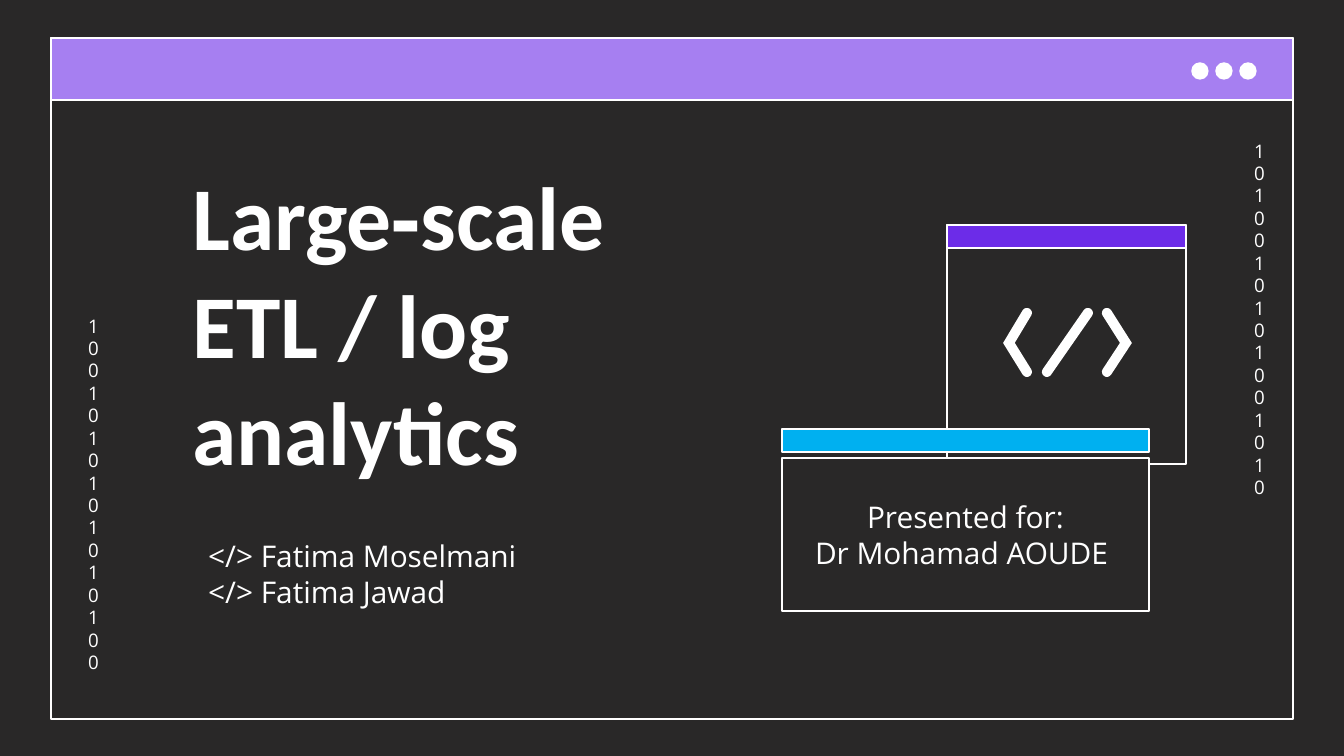
from dataclasses import dataclass
from math import atan2, cos, pi, sin

from pptx import Presentation
from pptx.dml.color import RGBColor
from pptx.enum.shapes import MSO_SHAPE as Shape
from pptx.enum.text import MSO_ANCHOR as Anchor, MSO_AUTO_SIZE as AutoSize, PP_ALIGN as Align
from pptx.util import Emu, Pt

SLIDE_W, SLIDE_H = 1344, 756
EMU_PER_PX = 9144000 / SLIDE_W


@dataclass(frozen=True)
class Theme:
    dark: str = "292828"
    white: str = "FFFFFF"
    lilac: str = "A67FF1"
    violet: str = "6C2CE8"
    sky: str = "00B0F0"
    heading_font: str = "Calibri"
    body_font: str = "Open Sans"
    title_pt: int = 48
    body_pt: int = 16
    binary_pt: int = 10
    line_pt: float = 0.75


THEME = Theme()


def px(value):
    return Emu(round(value * EMU_PER_PX))


def color(hex_code):
    return RGBColor.from_string(hex_code)


def set_all(target, values):
    for name, value in values.items():
        setattr(target, name, value)


def place(shape, box):
    set_all(shape, dict(zip(("left", "top", "width", "height"), map(px, box))))


def paint(shape, fill=None, line=None):
    if fill:
        shape.fill.solid()
        shape.fill.fore_color.rgb = color(fill)
    else:
        shape.fill.background()
    if line:
        shape.line.color.rgb = color(line)
        shape.line.width = Pt(THEME.line_pt)
    else:
        shape.line.fill.background()


def write(shape, lines, size, font=THEME.body_font, bold=False,
          align=Align.LEFT, anchor=Anchor.MIDDLE):
    frame = shape.text_frame
    inset = Emu(91440)
    set_all(frame, {
        "text": "\n".join(lines), "word_wrap": True, "auto_size": AutoSize.NONE,
        "vertical_anchor": anchor, "margin_left": inset, "margin_right": inset,
        "margin_top": inset, "margin_bottom": inset,
    })
    for paragraph in frame.paragraphs:
        set_all(paragraph, {"alignment": align, "space_before": Pt(0)})
        for run in paragraph.runs:
            set_all(run.font, {"name": font, "size": Pt(size), "bold": bold})
            run.font.color.rgb = color(THEME.white)


def add_panel(slide, box, fill=None, line=THEME.white, kind=Shape.RECTANGLE):
    panel = slide.shapes.add_shape(kind, *map(px, box))
    panel.shadow.inherit = False
    paint(panel, fill, line)
    return panel


def add_window(slide, box, bar_height, bar_fill):
    left, top, width, _ = box
    add_panel(slide, box)
    add_panel(slide, (left, top, width, bar_height), bar_fill)


def add_binary_column(slide, left, top, digits):
    column = slide.shapes.add_textbox(*map(px, (left, top, 32, 376)))
    write(column, [digits], THEME.binary_pt, align=Align.CENTER, anchor=Anchor.TOP)


def raise_placeholder(placeholder, box):
    """Place a placeholder in front of everything drawn so far."""
    place(placeholder, box)
    placeholder.element.getparent().append(placeholder.element)


def round_stroke(points, radius):
    """Outline of a thick line with round ends, as a list of EMU points."""
    outline = []

    def offset(point, angle, reach):
        outline.append((px(point[0] + reach * cos(angle)), px(point[1] + reach * sin(angle))))

    for way in (points, points[::-1]):
        headings = [atan2(y2 - y1, x2 - x1) for (x1, y1), (x2, y2) in zip(way, way[1:])]
        for corner, before, after in zip(way[1:], headings, headings[1:]):
            offset(corner, (before + after - pi) / 2, radius / cos((after - before) / 2))
        for step in range(9):
            offset(way[-1], headings[-1] - pi / 2 + step * pi / 8, radius)
    return outline


def add_code_symbol(slide):
    top, middle, bottom = 313, 343, 372
    strokes = (
        [(1027, top), (1009, middle), (1027, bottom)],
        [(1088, top), (1047, bottom)],
        [(1107, top), (1126, middle), (1107, bottom)],
    )
    first, *others = [round_stroke(stroke, radius=5) for stroke in strokes]
    builder = slide.shapes.build_freeform(*first[0], scale=1.0)
    builder.add_line_segments(first[1:], close=True)
    for outline in others:
        builder.move_to(*outline[0])
        builder.add_line_segments(outline[1:], close=True)
    symbol = builder.convert_to_shape()
    symbol.shadow.inherit = False
    paint(symbol, THEME.white)


def main():
    deck = Presentation()
    set_all(deck, {"slide_width": px(SLIDE_W), "slide_height": px(SLIDE_H)})
    slide = deck.slides.add_slide(deck.slide_layouts[0])
    slide.background.fill.solid()
    slide.background.fill.fore_color.rgb = color(THEME.dark)
    title, presented_for = slide.placeholders

    add_window(slide, (51, 38, 1242, 681), 62, THEME.lilac)
    for index in range(3):
        add_panel(slide, (1192 + 24 * index, 63, 16, 16), THEME.white, kind=Shape.OVAL)
    add_binary_column(slide, 1241, 126, "1010010101001010")
    add_binary_column(slide, 75, 301, "1001010101010100")

    add_window(slide, (947, 225, 239, 239), 23, THEME.violet)
    raise_placeholder(title, (179, 142, 550, 355))
    write(title, ["Large‑scale ETL / log analytics"], THEME.title_pt,
          THEME.heading_font, bold=True, anchor=Anchor.BOTTOM)
    add_code_symbol(slide)

    raise_placeholder(presented_for, (782, 458, 367, 153))
    paint(presented_for, THEME.dark, THEME.white)
    write(presented_for, ["Presented for:", "Dr Mohamad AOUDE "], THEME.body_pt,
          align=Align.CENTER)
    add_panel(slide, (782, 429, 367, 23), THEME.sky)

    authors = add_panel(slide, (195, 497, 367, 153), THEME.dark, line=None)
    write(authors, ["</> Fatima Moselmani", "</> Fatima Jawad"], THEME.body_pt)

    deck.save("out.pptx")


if __name__ == "__main__":
    main()
